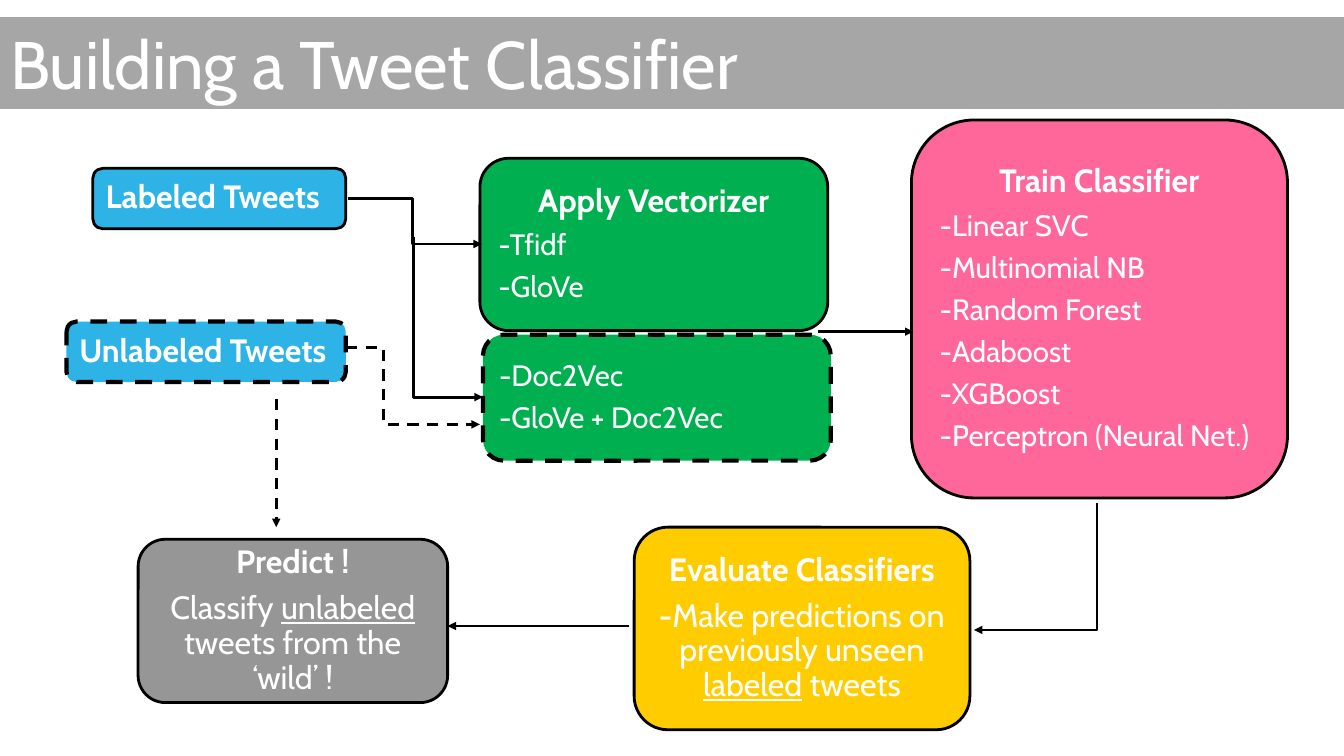
import pptx
import pptx.util
import pptx.dml.color
import pptx.enum.dml
import pptx.enum.shapes
import pptx.enum.text
import pptx.oxml
import pptx.oxml.ns

Inches, Pt = pptx.util.Inches, pptx.util.Pt
LEFT = pptx.enum.text.PP_ALIGN.LEFT
MID = pptx.enum.text.PP_ALIGN.CENTER
DASH = pptx.enum.dml.MSO_LINE.DASH
BLUE, GREEN, PINK = "2DB3E5", "00B050", "FF6699"
GOLD, GRAY, BAND = "FFCC00", "969696", "A6A6A6"
WHITE, BLACK = "FFFFFF", "000000"


def color(code):
    return pptx.dml.color.RGBColor.from_string(code)


def paint(item, code):
    item.fill.solid()
    item.fill.fore_color.rgb = color(code)


def write(para, text, size=23, bold=False, under=False):
    """Add one run to a paragraph."""
    run = para.add_run()
    run.text = text
    font = run.font
    font.name, font.size = "Cabin", Pt(size)
    font.bold, font.underline = bold, under
    font.color.rgb = color(WHITE)


def stroke(line, width, dash):
    line.color.rgb = color(BLACK)
    line.width = Pt(width)
    if dash:
        line.dash_style = DASH


def banner(slide, left, top, width, height):
    """Title on a full-width band."""
    title = slide.shapes.title
    title.left, title.top = Inches(left), Inches(top)
    title.width, title.height = Inches(width), Inches(height)
    paint(title, BAND)
    frame = title.text_frame
    frame.auto_size = pptx.enum.text.MSO_AUTO_SIZE.NONE
    frame.vertical_anchor = pptx.enum.text.MSO_ANCHOR.TOP
    para = frame.paragraphs[0]
    para.alignment = LEFT
    write(para, "Building a Tweet Classifier", size=48)


def card(slide, box, fill, rows, dash=False):
    """Rounded step; each row is (alignment, size, runs)."""
    shape = slide.shapes.add_shape(
        pptx.enum.shapes.MSO_SHAPE.ROUNDED_RECTANGLE, *map(Inches, box))
    shape.shadow.inherit = False
    paint(shape, fill)
    stroke(shape.line, 3 if dash else 2, dash)
    frame = shape.text_frame
    frame.word_wrap = True
    frame.vertical_anchor = pptx.enum.text.MSO_ANCHOR.MIDDLE
    frame.margin_left = frame.margin_right = Inches(0.1)
    frame.margin_top = frame.margin_bottom = Inches(0.1)
    for i, (align, size, runs) in enumerate(rows):
        para = frame.add_paragraph() if i else frame.paragraphs[0]
        para.alignment = align
        para.line_spacing = 0.9
        para.space_after = Pt(0.35 * size)
        for text, style in runs:
            write(para, text, size=size, bold="b" in style, under="u" in style)


def head(text, align=MID):
    return [(align, 23, [(text, "b")])]


def items(*names):
    return [(LEFT, 21, [("-" + name, "")]) for name in names]


def arrow(slide, start, end, bend=None, dash=False, tip="tailEnd"):
    """Straight arrow, or an elbow that turns at the share `bend` of its width."""
    kinds = pptx.enum.shapes.MSO_CONNECTOR
    kind = kinds.STRAIGHT if bend is None else kinds.ELBOW
    link = slide.shapes.add_connector(kind, *map(Inches, start + end))
    stroke(link.line, 2, dash)
    prop = link._element.spPr
    if bend is not None:
        guide = pptx.oxml.ns.qn("a:gd")
        geom = prop.find(pptx.oxml.ns.qn("a:prstGeom"))
        turn = geom.find(pptx.oxml.ns.qn("a:avLst"))
        node = turn.makeelement(
            guide, {"name": "adj1", "fmla": f"val {round(bend * 100000)}"})
        turn.append(node)
    line = link.line._get_or_add_ln()
    line.append(line.makeelement(
        pptx.oxml.ns.qn("a:" + tip), {"type": "triangle"}))
    prop.append(prop.makeelement(pptx.oxml.ns.qn("a:effectLst"), {}))


def inputs(slide):
    """Both kinds of tweets."""
    card(slide, (0.92, 1.67, 2.51, 0.6), BLUE, head("Labeled Tweets", LEFT))
    card(slide, (0.66, 3.19, 2.77, 0.6), BLUE,
         head("Unlabeled Tweets", LEFT), dash=True)


def models(slide):
    """Vectorizers and classifiers."""
    card(slide, (4.76, 1.57, 3.45, 1.71), GREEN,
         head("Apply Vectorizer") + items("Tfidf", "GloVe"))
    card(slide, (4.79, 3.32, 3.45, 1.25), GREEN,
         items("Doc2Vec", "GloVe + Doc2Vec"), dash=True)
    card(slide, (9.04, 1.19, 3.73, 3.75), PINK,
         head("Train Classifier") + items(
             "Linear SVC", "Multinomial NB", "Random Forest", "Adaboost",
             "XGBoost", "Perceptron (Neural Net.)"))


def results(slide):
    """Evaluation and prediction."""
    card(slide, (6.29, 5.23, 3.33, 2.01), GOLD,
         head("Evaluate Classifiers") + [(MID, 23, [
             ("-", "b"), ("Make predictions on previously unseen ", ""),
             ("labeled", "u"), (" tweets", "")])])
    card(slide, (1.37, 5.35, 3.07, 1.62), GRAY,
         head("Predict !") + [(MID, 23, [
             ("Classify ", ""), ("unlabeled", "u"),
             (" tweets from the ‘wild’ !", "")])])


def flow(slide):
    """Arrows between the steps."""
    arrow(slide, (3.45, 1.97), (4.78, 2.42), bend=0.48)
    arrow(slide, (3.43, 3.45), (4.76, 4.21), bend=0.28, dash=True)
    arrow(slide, (4.79, 3.94), (4.1, 2.35), bend=1, tip="headEnd")
    arrow(slide, (8.11, 3.29), (9.06, 3.29))
    arrow(slide, (9.66, 6.25), (10.88, 4.99), bend=1, tip="headEnd")
    arrow(slide, (6.24, 6.21), (4.44, 6.21))
    arrow(slide, (2.74, 3.96), (2.74, 5.23), dash=True)


def main():
    deck = pptx.Presentation()
    deck.slide_width, deck.slide_height = Inches(13.33), Inches(7.5)
    slide = deck.slides.add_slide(deck.slide_layouts[5])
    banner(slide, 0, 0.17, 13.33, 0.91)
    inputs(slide)
    models(slide)
    results(slide)
    flow(slide)
    deck.save("out.pptx")


if __name__ == "__main__":
    main()
